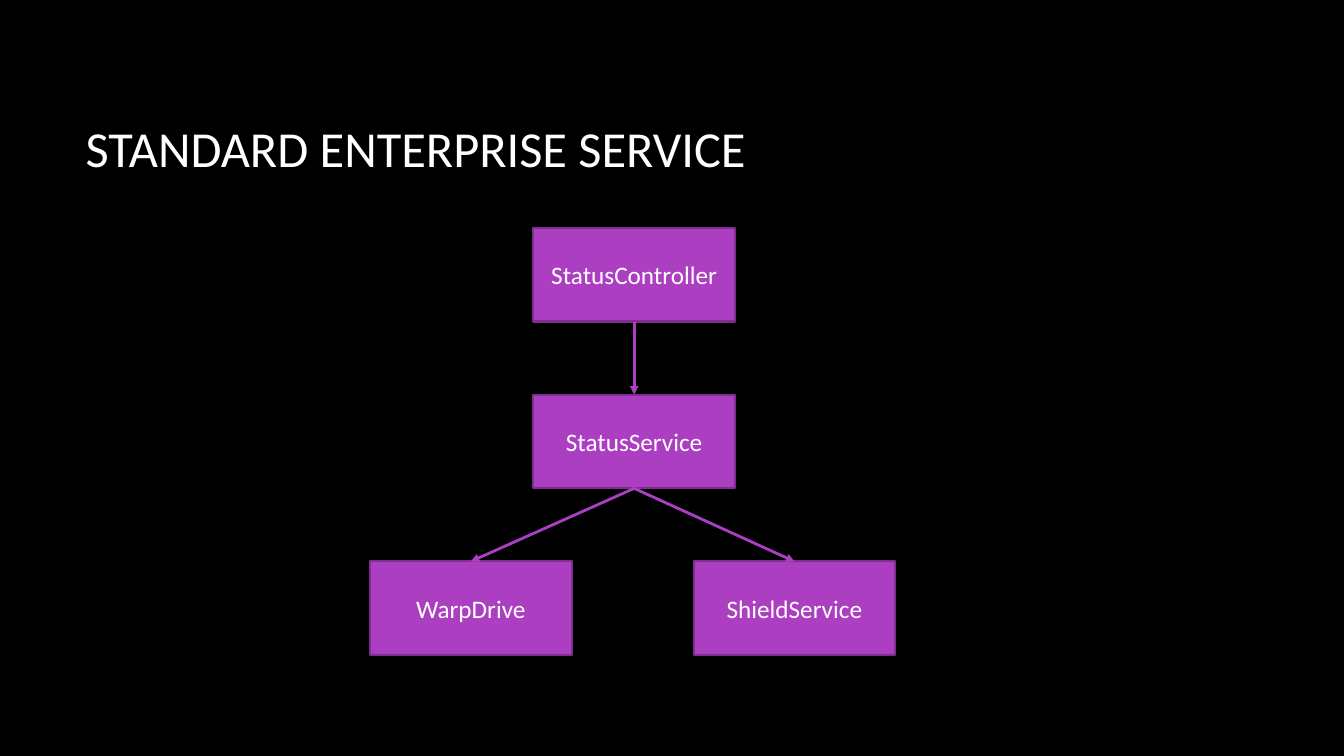
import pptx
import pptx.util
import pptx.dml.color
import pptx.enum.shapes
import pptx.enum.text
import pptx.oxml.ns
import lxml.etree

Inches = pptx.util.Inches
RGBColor = pptx.dml.color.RGBColor
qn = pptx.oxml.ns.qn

# Content: each service with its left edge and its row, then the calls between them
TITLE = "STANDARD ENTERPRISE SERVICE"
SERVICES = [
    ("StatusController", 5.29, 0),
    ("StatusService", 5.29, 1),
    ("WarpDrive", 3.67, 2),
    ("ShieldService", 6.88, 2),
]
CALLS = [
    ("StatusController", "StatusService"),
    ("StatusService", "WarpDrive"),
    ("StatusService", "ShieldService"),
]

# Style and layout
FONT = "Calibri"
BLACK = RGBColor(0x00, 0x00, 0x00)
WHITE = RGBColor(0xFF, 0xFF, 0xFF)
PURPLE = RGBColor(0xAC, 0x3E, 0xC1)
DARK_PURPLE = RGBColor(0x7F, 0x2E, 0x8F)
BOX_WIDTH, BOX_HEIGHT = 2, 0.93
FIRST_ROW_TOP, LAST_ROW_TOP = 2.26, 5.57
ROW_STEP = (LAST_ROW_TOP - FIRST_ROW_TOP) / 2
BOTTOM, TOP = 2, 0


def write_text(shape, text, size, alignment):
    frame = shape.text_frame
    frame.word_wrap = True
    frame.vertical_anchor = pptx.enum.text.MSO_ANCHOR.MIDDLE
    paragraph = frame.paragraphs[0]
    paragraph.alignment = alignment
    run = paragraph.add_run()
    run.text = text
    run.font.name = FONT
    run.font.size = pptx.util.Pt(size)
    run.font.color.rgb = WHITE


def add_service(slide, name, left, row):
    box = slide.shapes.add_shape(
        pptx.enum.shapes.MSO_SHAPE.RECTANGLE,
        Inches(left), Inches(FIRST_ROW_TOP + row * ROW_STEP),
        Inches(BOX_WIDTH), Inches(BOX_HEIGHT))
    box.shadow.inherit = False
    box.fill.solid()
    box.fill.fore_color.rgb = PURPLE
    box.line.color.rgb = DARK_PURPLE
    box.line.width = pptx.util.Pt(1.5)
    write_text(box, name, 18, pptx.enum.text.PP_ALIGN.CENTER)
    return box


def add_call(slide, caller, callee):
    arrow = slide.shapes.add_connector(
        pptx.enum.shapes.MSO_CONNECTOR.STRAIGHT, 0, 0, 0, 0)
    arrow.begin_connect(caller, BOTTOM)
    arrow.end_connect(callee, TOP)
    arrow.line.color.rgb = PURPLE
    arrow.line.width = pptx.util.Pt(2)
    # Arrowhead, and no shadow
    properties = arrow._element.spPr
    outline = properties.find(qn("a:ln"))
    lxml.etree.SubElement(outline, qn("a:tailEnd"), type="triangle")
    lxml.etree.SubElement(properties, qn("a:effectLst"))


def main():
    presentation = pptx.Presentation()
    presentation.slide_width = Inches(13.33)
    presentation.slide_height = Inches(7.5)
    slide = presentation.slides.add_slide(presentation.slide_layouts[6])
    slide.background.fill.solid()
    slide.background.fill.fore_color.rgb = BLACK

    # Title
    title = slide.shapes.add_textbox(
        Inches(0.75), Inches(0.67), Inches(11.08), Inches(1.59))
    write_text(title, TITLE, 36, pptx.enum.text.PP_ALIGN.LEFT)

    # Service diagram
    boxes = {name: add_service(slide, name, left, row)
             for name, left, row in SERVICES}
    for caller, callee in CALLS:
        add_call(slide, boxes[caller], boxes[callee])

    presentation.save("out.pptx")


if __name__ == "__main__":
    main()
